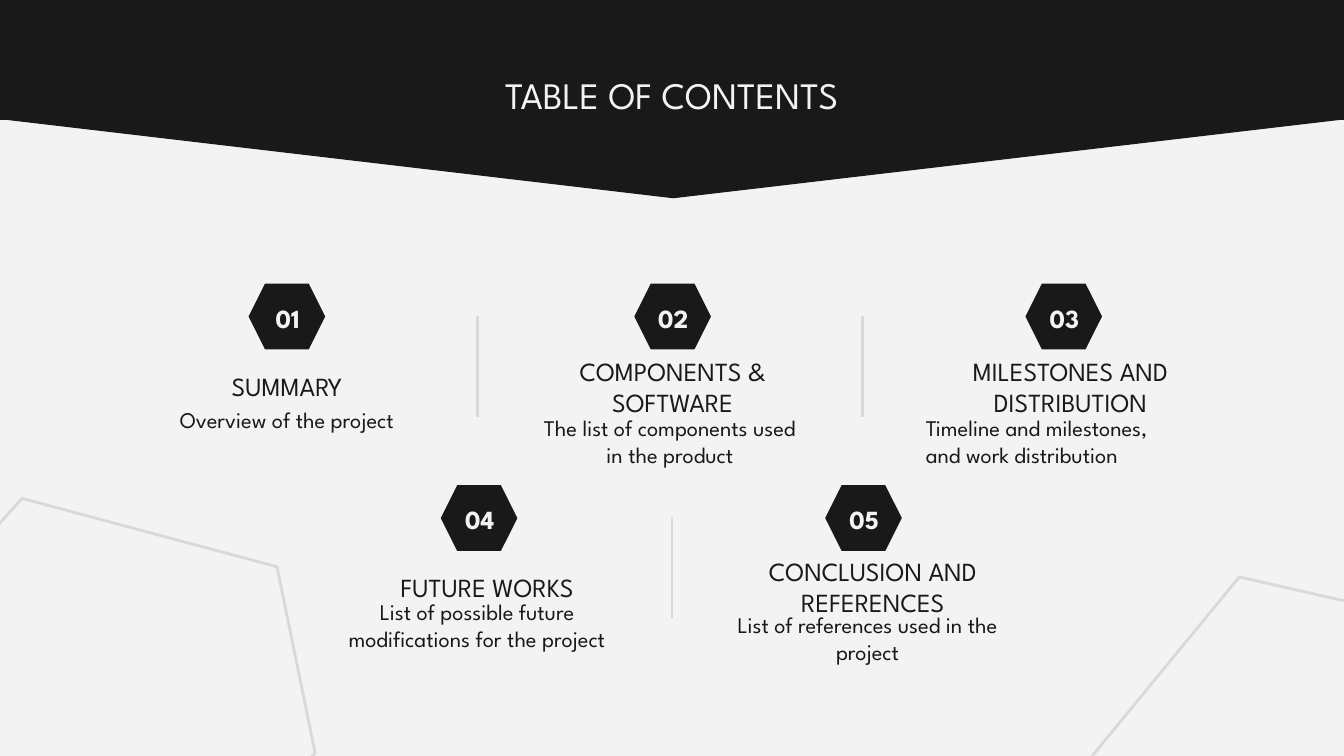
from dataclasses import dataclass

from lxml.etree import SubElement
from pptx import Presentation
from pptx.dml.color import RGBColor
from pptx.enum.shapes import MSO_CONNECTOR, MSO_SHAPE
from pptx.enum.text import MSO_ANCHOR, PP_ALIGN
from pptx.oxml.ns import qn
from pptx.util import Inches, Pt


@dataclass(frozen=True)
class Theme:
    font: str = "League Spartan"
    dark: RGBColor = RGBColor(0x19, 0x19, 0x19)
    light: RGBColor = RGBColor(0xF3, 0xF3, 0xF3)
    rule: RGBColor = RGBColor(0xD9, 0xD9, 0xD9)
    title_size: int = 20
    heading_size: int = 14
    body_size: int = 12
    line_width: float = 1.5


@dataclass(frozen=True)
class Entry:
    """A contents entry; text boxes are (left, top, width) in inches."""
    badge_left: float
    badge_top: float
    heading: str
    heading_box: tuple
    description: str
    description_box: tuple
    alignment: PP_ALIGN = PP_ALIGN.CENTER


class SlideBuilder:
    def __init__(self, slide, theme):
        self.slide = slide
        self.theme = theme
        slide.background.fill.solid()
        slide.background.fill.fore_color.rgb = theme.light

    def shape(self, kind, left, top, width, height, fill=None, line=None, rotation=0):
        shape = self.slide.shapes.add_shape(
            kind, Inches(left), Inches(top), Inches(width), Inches(height))
        shape.shadow.inherit = False
        shape.rotation = rotation
        if fill is None:
            shape.fill.background()
        else:
            shape.fill.solid()
            shape.fill.fore_color.rgb = fill
        if line is None:
            shape.line.fill.background()
        else:
            shape.line.color.rgb = line
            shape.line.width = Pt(self.theme.line_width)
        return shape

    def hexagon(self, *box, **style):
        shape = self.shape(MSO_SHAPE.HEXAGON, *box, **style)
        shape.adjustments[0] = 0.25

    def text(self, words, left, top, width, height, size, color, bold=False,
             anchor=MSO_ANCHOR.MIDDLE, alignment=PP_ALIGN.CENTER):
        box = self.slide.shapes.add_textbox(
            Inches(left), Inches(top), Inches(width), Inches(height))
        frame = box.text_frame
        frame.word_wrap = True
        frame.vertical_anchor = anchor
        frame.margin_left = frame.margin_right = Inches(0.1)
        frame.margin_top = frame.margin_bottom = Inches(0.1)
        paragraph = frame.paragraphs[0]
        paragraph.text = words
        paragraph.alignment = alignment
        paragraph.font.name = self.theme.font
        paragraph.font.size = Pt(size)
        paragraph.font.bold = bold
        paragraph.font.color.rgb = color

    def divider(self, x, top, height=0.75):
        line = self.slide.shapes.add_connector(
            MSO_CONNECTOR.STRAIGHT, Inches(x), Inches(top), Inches(x), Inches(top + height))
        line.line.color.rgb = self.theme.rule
        line.line.width = Pt(self.theme.line_width)
        SubElement(line._element.spPr, qn("a:effectLst"))

    def banner(self, title):
        theme = self.theme
        point = self.shape(MSO_SHAPE.ISOSCELES_TRIANGLE, -0.01, 0.88, 10.04, 0.59,
                           fill=theme.dark, line=theme.dark, rotation=180)
        band = self.shape(MSO_SHAPE.RECTANGLE, -0.01, -0.04, 10.04, 0.93,
                          fill=theme.dark, line=theme.dark)
        point.line.width = band.line.width = Pt(0.75)
        self.text(title, 3.37, 0.44, 3.26, 0.75, theme.title_size, theme.light,
                  anchor=MSO_ANCHOR.TOP)

    def entry(self, number, entry):
        theme = self.theme
        left, top = entry.badge_left, entry.badge_top
        self.hexagon(left, top, 0.57, 0.49, fill=theme.dark)
        self.text(f"{number:02d}", left - 0.12, top + 0.09, 0.82, 0.33,
                  theme.heading_size, theme.light, bold=True)
        self.text(entry.heading, *entry.heading_box, 0.63, theme.heading_size, theme.dark)
        self.text(entry.description, *entry.description_box, 0.63, theme.body_size,
                  theme.dark, anchor=MSO_ANCHOR.TOP, alignment=entry.alignment)


ENTRIES = [
    Entry(1.85, 2.11, "SUMMARY", (1.26, 2.56, 1.75),
          "Overview of the project", (1.06, 2.92, 2.15)),
    Entry(4.72, 2.11, "COMPONENTS & SOFTWARE", (4.13, 2.56, 1.75),
          "The list of components used in the product", (3.91, 2.98, 2.15)),
    Entry(7.63, 2.11, "MILESTONES AND DISTRIBUTION", (6.89, 2.56, 2.15),
          "Timeline and milestones, and work distribution", (6.79, 2.98, 2.14),
          PP_ALIGN.LEFT),
    Entry(3.28, 3.61, "FUTURE WORKS", (2.48, 4.05, 2.29),
          "List of possible future modifications for the project", (2.34, 4.35, 2.42)),
    Entry(6.14, 3.61, "CONCLUSION AND REFERENCES", (5.35, 4.05, 2.29),
          "List of references used in the project", (5.38, 4.45, 2.15)),
]


def main():
    presentation = Presentation()
    presentation.slide_width = Inches(10)
    presentation.slide_height = Inches(10) * 9 // 16
    slide = presentation.slides.add_slide(presentation.slide_layouts[6])
    theme = Theme()
    builder = SlideBuilder(slide, theme)

    # Banner with the title
    builder.banner("TABLE OF CONTENTS")

    # Numbered entries
    for number, entry in enumerate(ENTRIES, start=1):
        builder.entry(number, entry)

    # Dividers between entries
    for x, top in [(3.55, 2.35), (6.42, 2.35), (5, 3.85)]:
        builder.divider(x, top)

    # Outlined hexagons in the bottom corners
    for left, top, rotation in [(-0.83, 3.92, 15), (7.96, 4.59, 309.4)]:
        builder.hexagon(left, top, 3.23, 2.53, line=theme.rule, rotation=rotation)

    presentation.save("out.pptx")


if __name__ == "__main__":
    main()
